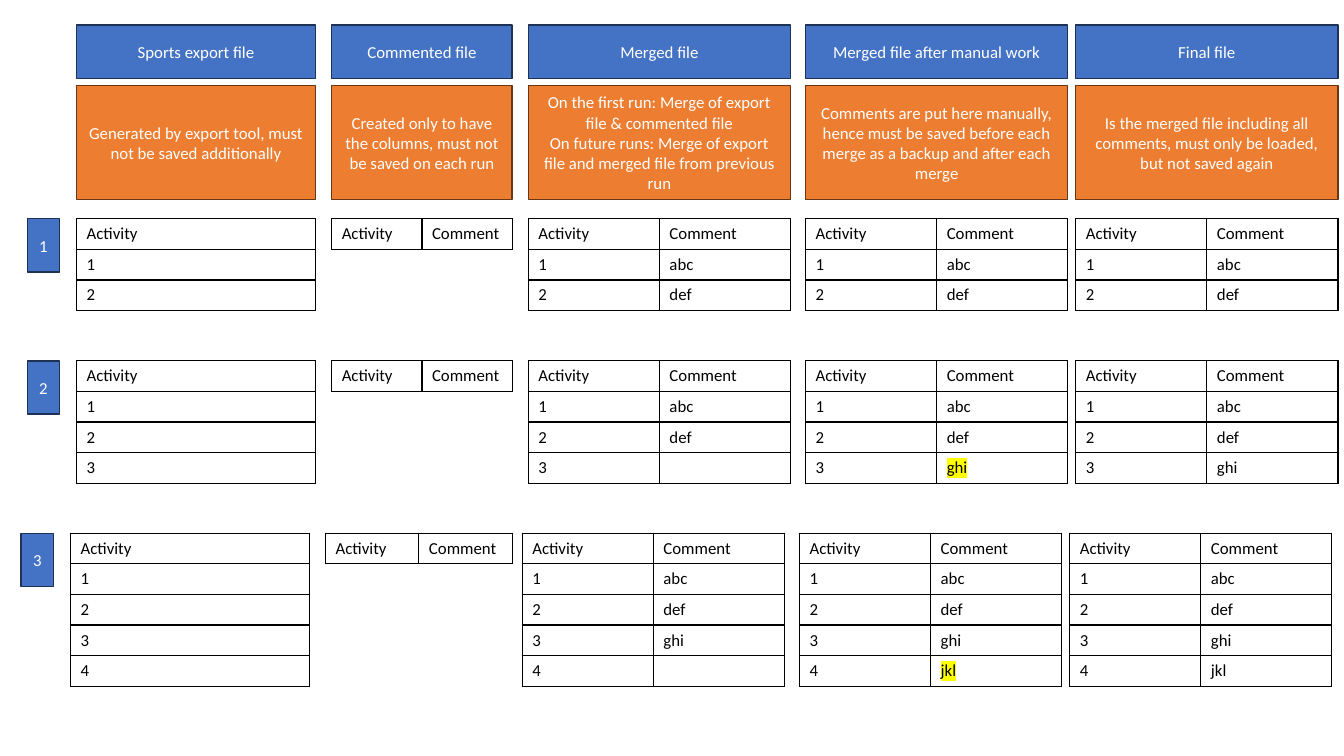
import pptx
import pptx.util
import pptx.dml.color
import pptx.enum.shapes
import pptx.enum.text
import pptx.oxml
import pptx.oxml.ns
from lxml import etree

Inches, Pt = pptx.util.Inches, pptx.util.Pt
RGB = pptx.dml.color.RGBColor.from_string

COLORS = {
    "blue": "4472C4", "blue_line": "1E3256",
    "orange": "ED7D31", "orange_line": "683715",
    "text": "000000", "light": "FFFFFF", "mark": "FFFF00",
}
FONT, SIZE = "Calibri", Pt(12)

# Left edge, width, heading and note of each file column
FILES = [
    (0.76, 2.37, "Sports export file",
     "Generated by export tool, must not be saved additionally"),
    (3.29, 1.79, "Commented file",
     "Created only to have the columns, must not be saved on each run"),
    (5.24, 2.6, "Merged file",
     "On the first run: Merge of export file & commented file\n"
     "On future runs: Merge of export file and merged file from previous run"),
    (7.99, 2.6, "Merged file after manual work",
     "Comments are put here manually, hence must be saved before each merge "
     "as a backup and after each merge"),
    (10.67, 2.6, "Final file",
     "Is the merged file including all comments, must only be loaded, "
     "but not saved again"),
]
# Top edge and horizontal shift of each run
RUNS = [(2.17, 0), (3.58, 0), (5.29, -0.06)]
COMMENTS = ["abc", "def", "ghi", "jkl"]
HEAD_TOP, HEAD_H = 0.25, 0.53
NOTE_TOP, NOTE_H = 0.85, 1.13
BADGE_LEFT, BADGE_W = 0.27, 0.32
ROW_H = 0.3

prs = pptx.Presentation()
prs.slide_width, prs.slide_height = Inches(13.33), Inches(7.5)
s = prs.slides.add_slide(prs.slide_layouts[6])


def add_box(left, top, width, height, text, color):
    sp = s.shapes.add_shape(pptx.enum.shapes.MSO_SHAPE.RECTANGLE, Inches(left),
                            Inches(top), Inches(width), Inches(height))
    sp.shadow.inherit = False
    sp.fill.solid()
    sp.fill.fore_color.rgb = RGB(COLORS[color])
    sp.line.color.rgb = RGB(COLORS[color + "_line"])
    sp.line.width = Pt(1)
    tf = sp.text_frame
    tf.word_wrap = True
    tf.vertical_anchor = pptx.enum.text.MSO_ANCHOR.MIDDLE
    tf.text = text
    for p in tf.paragraphs:
        p.alignment = pptx.enum.text.PP_ALIGN.CENTER
        p.font.name, p.font.size = FONT, SIZE
        p.font.color.rgb = RGB(COLORS["light"])


def add_grid(left, top, width, rows, marked):
    """Add a black-ruled table; marked is the text to highlight, or None."""
    tbl = s.shapes.add_table(len(rows), len(rows[0]), Inches(left), Inches(top),
                             Inches(width), Inches(ROW_H * len(rows))).table
    tbl.first_row = tbl.horz_banding = False
    for i, row in enumerate(rows):
        for j, text in enumerate(row):
            cell = tbl.cell(i, j)
            p = cell.text_frame.paragraphs[0]
            p.font.name, p.font.size = FONT, SIZE
            p.font.color.rgb = RGB(COLORS["text"])
            if text:
                r = p.add_run()
                r.text = text
                if text == marked:
                    r._r.get_or_add_rPr().append(pptx.oxml.parse_xml(
                        f'<a:highlight {pptx.oxml.ns.nsdecls("a")}>'
                        f'<a:srgbClr val="{COLORS["mark"]}"/></a:highlight>'))
            else:  # keeps the empty row as low as the others
                end = etree.SubElement(p._p, pptx.oxml.ns.qn("a:endParaRPr"))
                end.set("sz", str(int(SIZE.pt * 100)))
            tcPr = cell._tc.get_or_add_tcPr()
            for side in "LRTB":
                tcPr.append(pptx.oxml.parse_xml(
                    f'<a:ln{side} {pptx.oxml.ns.nsdecls("a")} w="{Pt(1)}"><a:solidFill>'
                    f'<a:srgbClr val="{COLORS["text"]}"/></a:solidFill></a:ln{side}>'))
            cell.fill.background()


for left, width, heading, note in FILES:
    add_box(left, HEAD_TOP, width, HEAD_H, heading, "blue")
    add_box(left, NOTE_TOP, width, NOTE_H, note, "orange")

for run, (top, shift) in enumerate(RUNS, 1):
    add_box(BADGE_LEFT + shift, top, BADGE_W, HEAD_H, str(run), "blue")
    done = COMMENTS[:run + 1]
    newest = done[-1] if run > 1 else None
    merged = ["" if c == newest else c for c in done]
    contents = [None, [], merged, done, done]
    for k, ((left, width, _, _), comments) in enumerate(zip(FILES, contents)):
        if comments is None:
            rows = [["Activity"]] + [[str(n)] for n in range(1, len(done) + 1)]
        else:
            rows = [["Activity", "Comment"]]
            rows += [[str(n), c] for n, c in enumerate(comments, 1)]
        if k == 1:
            width -= shift  # the commented file keeps its right edge
        add_grid(left + shift, top, width, rows, newest if k == 3 else None)

prs.save("out.pptx")
